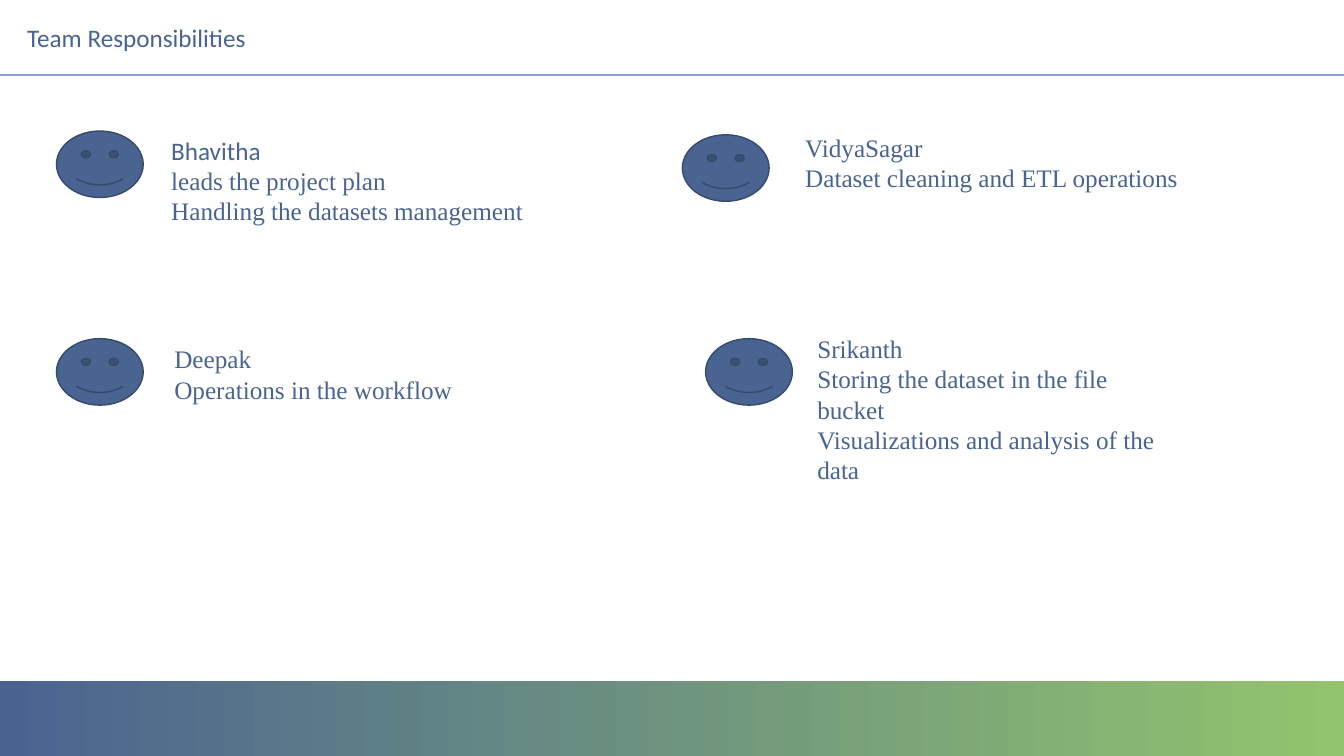
import dataclasses

import lxml.etree
import pptx
import pptx.dml.color
import pptx.enum.shapes
import pptx.enum.text
import pptx.oxml.ns
import pptx.util

Pt = pptx.util.Pt


@dataclasses.dataclass(frozen=True)
class Theme:
    """Colours, fonts and sizes in points shared by the slide."""

    primary: str = "496491"
    outline: str = "364A6B"
    rule: str = "85A5CC"
    accent: str = "92C46D"
    heading_font: str = "Calibri"
    body_font: str = "Times New Roman"
    text_size: float = 18
    slide_width: float = 960
    slide_height: float = 540
    band_height: float = 53.3
    face_width: float = 62
    face_height: float = 47.5


THEME = Theme()

MEMBERS = [
    {
        "name": "Bhavitha",
        "duties": ["leads the project plan", "Handling the datasets management"],
        "face": (40.3, 93.6),
        "box": (115.2, 92.9, 359.3, 94.3),
        "name_font": THEME.heading_font,
    },
    {
        "name": "VidyaSagar",
        "duties": ["Dataset cleaning and ETL operations"],
        "face": (487.4, 96.3),
        "box": (568.1, 90.7, 290.9, 51.1),
    },
    {
        "name": "Deepak",
        "duties": ["Operations in the workflow"],
        "face": (40.3, 241.9),
        "box": (117.4, 241.9, 252.7, 51.1),
    },
    {
        "name": "Srikanth",
        "duties": [
            "Storing the dataset in the file bucket",
            "Visualizations and analysis of the data",
        ],
        "face": (504, 241.9),
        "box": (576.7, 234.7, 273.6, 116.6),
    },
]


def rgb(value):
    """Turn a hex string into a colour."""
    return pptx.dml.color.RGBColor.from_string(value)


def write_text(paragraph, text, *, font=THEME.body_font, size=THEME.text_size,
               color=THEME.primary):
    """Write formatted, left-aligned text into a paragraph."""
    paragraph.alignment = pptx.enum.text.PP_ALIGN.LEFT
    run = paragraph.add_run()
    run.text = text
    run.font.name = font
    run.font.size = Pt(size)
    run.font.color.rgb = rgb(color)


def prepare_frame(text_frame):
    """Make a text frame wrap and start at its top."""
    text_frame.word_wrap = True
    text_frame.auto_size = pptx.enum.text.MSO_AUTO_SIZE.NONE
    text_frame.vertical_anchor = pptx.enum.text.MSO_ANCHOR.TOP


def add_band(slide, left, top, width, height):
    """Add the gradient band inside the given box."""
    band = slide.shapes.add_shape(
        pptx.enum.shapes.MSO_SHAPE.RECTANGLE,
        Pt(left), Pt(top), Pt(width), Pt(height))
    band.shadow.inherit = False
    band.line.fill.background()
    band.fill.gradient()
    band.fill.gradient_angle = 0
    for stop, color in zip(band.fill.gradient_stops, (THEME.primary, THEME.accent)):
        stop.color.rgb = rgb(color)


def add_header(slide, left, top, width, height):
    """Add the title and the rule along the bottom of the given box."""
    bottom = Pt(top + height)
    rule = slide.shapes.add_connector(
        pptx.enum.shapes.MSO_CONNECTOR.STRAIGHT,
        Pt(left), bottom, Pt(left + width), bottom)
    rule.line.color.rgb = rgb(THEME.rule)
    rule.line.width = Pt(1.5)
    lxml.etree.SubElement(rule._element.spPr, pptx.oxml.ns.qn("a:effectLst"))

    title = slide.shapes.title
    title.left, title.top = Pt(left + 12.2), Pt(top + 12.2)
    title.width, title.height = Pt(430.6), Pt(51.1)
    prepare_frame(title.text_frame)
    write_text(title.text_frame.paragraphs[0], "Team Responsibilities",
               font=THEME.heading_font)


def add_face(slide, left, top):
    """Add a smiley with its top left corner at the given point."""
    face = slide.shapes.add_shape(
        pptx.enum.shapes.MSO_SHAPE.SMILEY_FACE,
        Pt(left), Pt(top), Pt(THEME.face_width), Pt(THEME.face_height))
    face.shadow.inherit = False
    face.fill.solid()
    face.fill.fore_color.rgb = rgb(THEME.primary)
    face.line.color.rgb = rgb(THEME.outline)
    face.line.width = Pt(1)


def add_member(slide, name, duties, face, box, name_font=THEME.body_font):
    """Add a team member's smiley, name and duties."""
    add_face(slide, *face)
    text_frame = slide.shapes.add_textbox(*map(Pt, box)).text_frame
    prepare_frame(text_frame)
    write_text(text_frame.paragraphs[0], name, font=name_font)
    for duty in duties:
        write_text(text_frame.add_paragraph(), duty)


def main():
    """Build and save the presentation."""
    presentation = pptx.Presentation()
    presentation.slide_width = Pt(THEME.slide_width)
    presentation.slide_height = Pt(THEME.slide_height)
    slide = presentation.slides.add_slide(presentation.slide_layouts[5])
    add_band(slide, 0, THEME.slide_height - THEME.band_height,
             THEME.slide_width, THEME.band_height)
    add_header(slide, 0, 0, THEME.slide_width, THEME.band_height)
    for member in MEMBERS:
        add_member(slide, **member)
    presentation.save("out.pptx")


if __name__ == "__main__":
    main()
